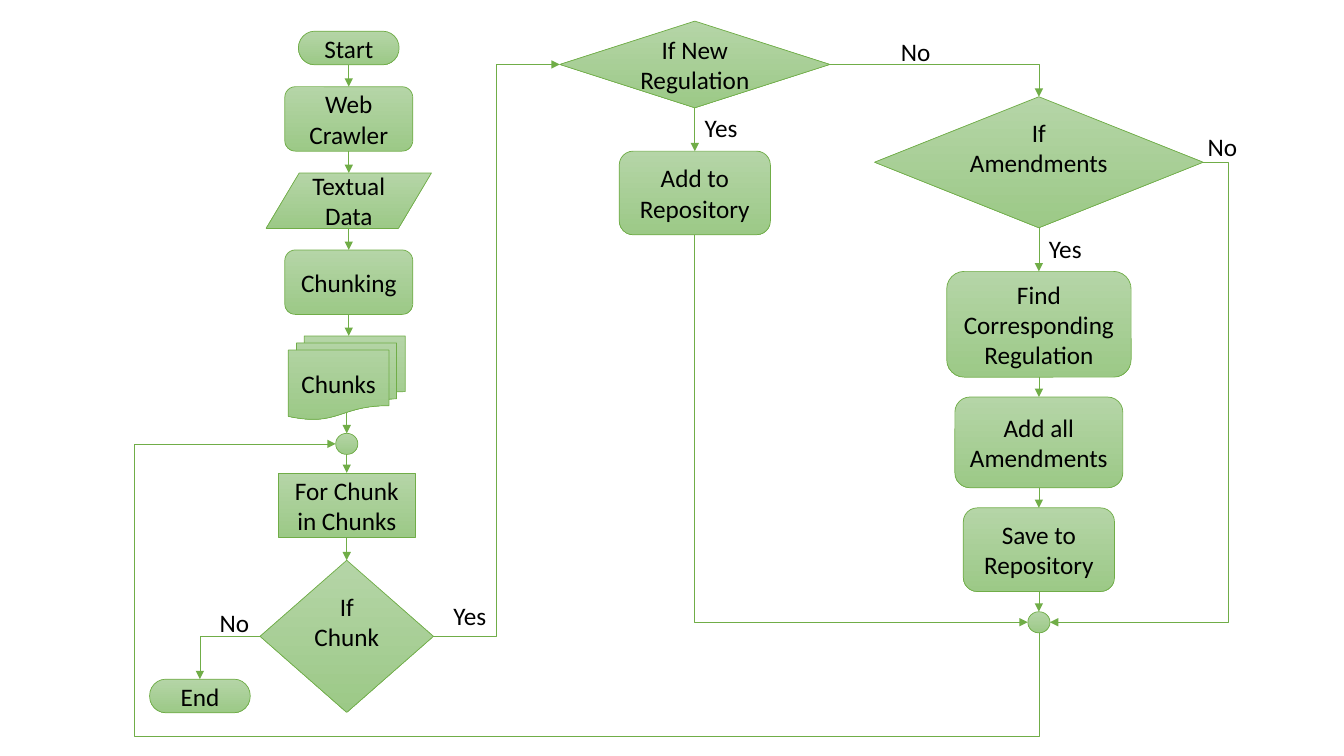
from dataclasses import dataclass

from lxml.etree import SubElement
from pptx import Presentation
from pptx.dml.color import RGBColor
from pptx.enum.shapes import MSO_CONNECTOR as Link, MSO_SHAPE as Kind
from pptx.enum.text import (MSO_ANCHOR as Anchor, MSO_AUTO_SIZE as Fit,
                            PP_ALIGN as Align)
from pptx.oxml.ns import qn
from pptx.util import Inches, Pt

# The slide is a grid of 40 columns by 22.5 rows of square cells
WIDE, HIGH, COLS = Inches(13.33), Inches(7.5), 40
MAIN, LOOP, NEW, AMEND = 10.38, 10.32, 20.68, 30.92  # centre lines
TOP, LEFT, BOTTOM, RIGHT = range(4)
FIRST, LAST = "headEnd", "tailEnd"  # which end bears the arrowhead

BOX, TEST = Kind.FLOWCHART_ALTERNATE_PROCESS, Kind.FLOWCHART_DECISION
CAP, DOT = Kind.FLOWCHART_TERMINATOR, Kind.FLOWCHART_CONNECTOR
DATA, STEP = Kind.FLOWCHART_DATA, Kind.FLOWCHART_PROCESS
STACK = Kind.FLOWCHART_MULTIDOCUMENT

# name: kind, text, centre column, top row, width, height
NODES = {
    "start": (CAP, "Start", MAIN, 0.93, 3, 1),
    "crawl": (BOX, "Web Crawler", MAIN, 2.58, 3.81, 1.92),
    "data": (DATA, "Textual Data", MAIN, 5.15, 4.92, 1.65),
    "cut": (BOX, "Chunking", MAIN, 7.44, 3.81, 1.92),
    "chunks": (STACK, "Chunks", LOOP, 10, 3.48, 2.49),
    "back": (DOT, "", LOOP, 12.9, 0.66, 0.63),
    "each": (STEP, "For Chunk in Chunks", LOOP, 14.08, 4.08, 1.92),
    "more": (TEST, "If Chunk", LOOP, 16.68, 5.16, 4.53),
    "end": (CAP, "End", 5.95, 20.22, 3, 1),
    "new": (TEST, "If New Regulation", NEW, 0.63, 8.04, 2.58),
    "add": (BOX, "Add to Repository", NEW, 4.5, 4.5, 2.49),
    "amend": (TEST, "If Amendments", AMEND, 2.88, 9.78, 3.9),
    "find": (BOX, "Find Corresponding Regulation", AMEND, 8.08, 5.49, 3.15),
    "all": (BOX, "Add all Amendments", AMEND, 11.82, 5, 2.7),
    "save": (BOX, "Save to Repository", AMEND, 15.12, 4.5, 2.49),
    "done": (DOT, "", AMEND, 18.21, 0.66, 0.63),
}
RAISED = ("more", "amend")  # text sits half a line above the middle

# Straight arrows run down each chain
CHAINS = [
    ("start", "crawl", "data", "cut", "chunks", "back", "each", "more"),
    ("new", "add"),
    ("amend", "find", "all", "save", "done"),
]

# from, side, to, side, lanes the elbow turns into, arrowhead
ELBOWS = [
    ("new", RIGHT, "amend", TOP, (), LAST),
    ("amend", RIGHT, "done", RIGHT, (36.57,), LAST),
    ("done", LEFT, "add", BOTTOM, (), FIRST),
    ("more", RIGHT, "new", LEFT, (14.77,), LAST),
    ("more", LEFT, "end", TOP, (), LAST),
    ("back", LEFT, "done", BOTTOM, (4, 21.93), FIRST),
]

# text, left column, top row, width
LABELS = [
    ("No", 26.52, 0.93, 1.5), ("Yes", NEW, 3.21, 1.6),
    ("Yes", AMEND, 6.79, 1.6), ("No", 35.65, 3.75, 1.5),
    ("Yes", 13.2, 17.73, 1.6), ("No", 6.24, 17.94, 1.5),
]


@dataclass(frozen=True)
class Theme:
    font: str = "Calibri"
    size: Pt = Pt(18)
    ink: RGBColor = RGBColor(0, 0, 0)
    edge: RGBColor = RGBColor(0x70, 0xAD, 0x47)
    light: RGBColor = RGBColor(0xB5, 0xD5, 0xA7)
    deep: RGBColor = RGBColor(0x9C, 0xC9, 0x87)
    line: Pt = Pt(0.5)


theme = Theme()


def cell(*nums):
    return [round(n * WIDE / COLS) for n in nums]


def write(para, text):
    run = para.add_run()
    run.text = text
    font = run.font
    font.name, font.size = theme.font, theme.size
    font.color.rgb = theme.ink


def stroke(line):
    line.color.rgb = theme.edge
    line.width = theme.line


def draw(slide, name):
    kind, text, mid, top, wide, high = NODES[name]
    shape = slide.shapes.add_shape(kind, *cell(mid - wide / 2, top, wide, high))
    shape.shadow.inherit = False
    shape.fill.gradient()
    shape.fill.gradient_angle = 270
    for stop, tint in zip(shape.fill.gradient_stops, (theme.light, theme.deep)):
        stop.color.rgb = tint
    stroke(shape.line)
    if text:
        frame = shape.text_frame
        frame.word_wrap = True
        frame.vertical_anchor = Anchor.MIDDLE
        if name in RAISED:
            frame.margin_bottom = Inches(0.35)
        para = frame.paragraphs[0]
        para.alignment = Align.CENTER
        write(para, text)
    return shape


def port(name, side):
    kind, _, mid, top, wide, high = NODES[name]
    foot = 0.92 if kind == STACK else 1  # the wavy edge is higher
    return {
        TOP: (mid, top), BOTTOM: (mid, top + high * foot),
        LEFT: (mid - wide / 2, top + high / 2),
        RIGHT: (mid + wide / 2, top + high / 2),
    }[side]


def arrow(slide, form, start, stop, tip=LAST):
    link = slide.shapes.add_connector(form, *cell(*start, *stop))
    stroke(link.line)
    SubElement(link.line._get_or_add_ln(), qn(f"a:{tip}"), type="triangle")
    SubElement(link._element.spPr, qn("a:effectLst"))
    return link


def down(slide, shapes, src, dst):
    x, y = port(src, BOTTOM)
    link = arrow(slide, Link.STRAIGHT, (x, y), (x, port(dst, TOP)[1]))
    joins = (BOX, TEST, CAP, STEP)
    if NODES[src][0] in joins:
        link.begin_connect(shapes[src], BOTTOM)
    if NODES[dst][0] in joins:
        link.end_connect(shapes[dst], TOP)


def elbow(slide, src, out, dst, into, lanes, tip):
    start, stop = port(src, out), port(dst, into)
    link = arrow(slide, Link.ELBOW, start, stop, tip)
    geom = link._element.spPr.find(qn("a:prstGeom"))
    geom.set("prst", f"bentConnector{2 + len(lanes)}")
    guides = geom.find(qn("a:avLst"))
    # Lanes are a column, then a row, as shares of the connector's span
    for i, lane in enumerate(lanes):
        share = (lane - start[i]) / (stop[i] - start[i])
        SubElement(guides, qn("a:gd"), name=f"adj{i + 1}",
                   fmla=f"val {round(share * 100000)}")


def main():
    deck = Presentation()
    deck.slide_width, deck.slide_height = WIDE, HIGH
    slide = deck.slides.add_slide(deck.slide_layouts[6])

    # Steps
    shapes = {name: draw(slide, name) for name in NODES}

    # Arrows
    for chain in CHAINS:
        for src, dst in zip(chain, chain[1:]):
            down(slide, shapes, src, dst)
    for bend in ELBOWS:
        elbow(slide, *bend)

    # Answers
    for text, left, top, wide in LABELS:
        box = slide.shapes.add_textbox(*cell(left, top, wide, 1.2))
        frame = box.text_frame
        frame.word_wrap = False
        frame.auto_size = Fit.SHAPE_TO_FIT_TEXT
        write(frame.paragraphs[0], text)

    deck.save("out.pptx")


if __name__ == "__main__":
    main()
